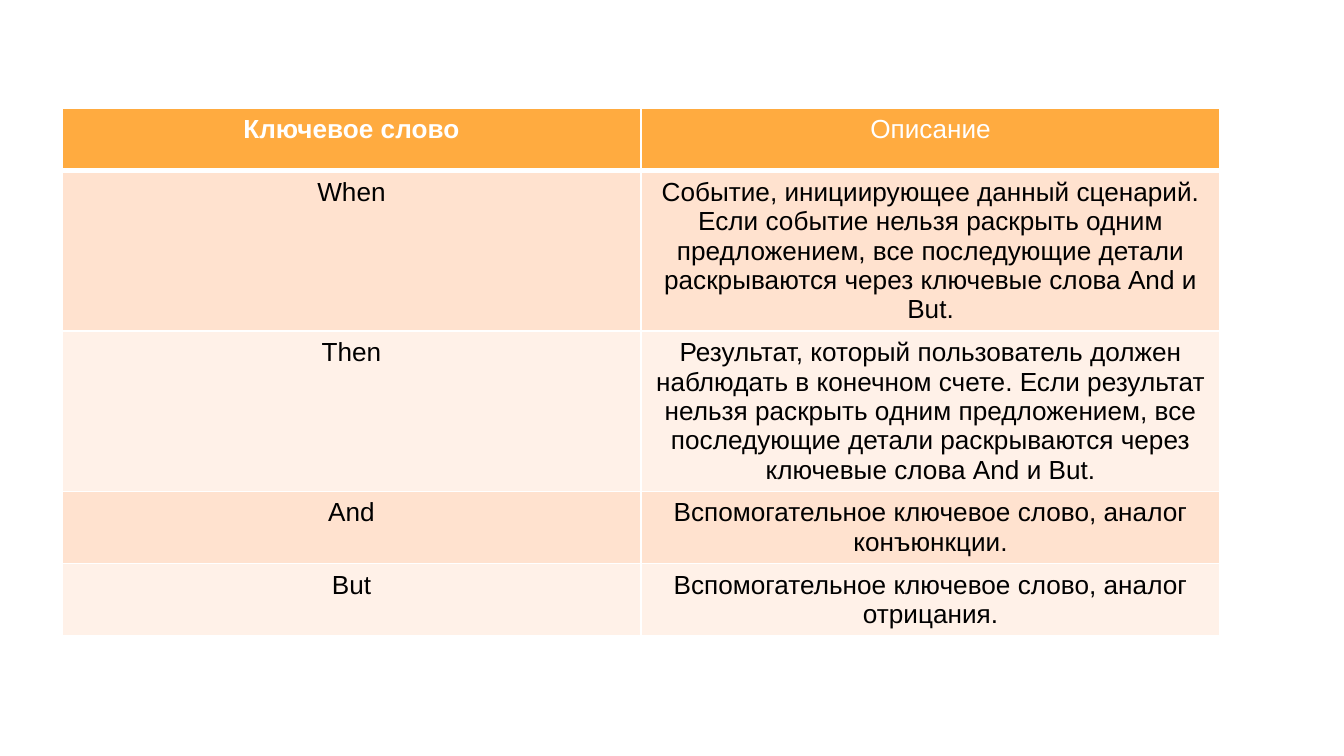
from dataclasses import dataclass

from lxml import etree
from pptx import Presentation
from pptx.dml.color import RGBColor
from pptx.enum.text import PP_ALIGN
from pptx.oxml.ns import qn
from pptx.util import Cm, Pt

CENTER = PP_ALIGN.CENTER


@dataclass(frozen=True)
class Theme:
    font: str = "Arial"
    text_size: int = 14
    header_fill: str = "FFAB40"
    header_text: str = "FFFFFF"
    band_fills: tuple = ("FFE2CF", "FFF1E8")
    body_text: str = "000000"
    border: str = "FFFFFF"
    thin_border: int = 1
    header_border: int = 3


THEME = Theme()

KEYWORDS = [
    ("Ключевое слово", "Описание"),
    ("When", "Событие, инициирующее данный сценарий. Если событие нельзя раскрыть "
             "одним предложением, все последующие детали раскрываются через "
             "ключевые слова And и But."),
    ("Then", "Результат, который пользователь должен наблюдать в конечном счете. "
             "Если результат нельзя раскрыть одним предложением, все последующие "
             "детали раскрываются через ключевые слова And и But."),
    ("And", "Вспомогательное ключевое слово, аналог конъюнкции."),
    ("But", "Вспомогательное ключевое слово, аналог отрицания."),
]


def set_borders(cell, bottom_width):
    properties = cell._tc.get_or_add_tcPr()
    thin = THEME.thin_border
    sides = (("L", thin), ("R", thin), ("T", thin), ("B", bottom_width))
    for position, (side, width) in enumerate(sides):
        border = etree.Element(qn(f"a:ln{side}"), w=str(Pt(width)))
        fill = etree.SubElement(border, qn("a:solidFill"))
        etree.SubElement(fill, qn("a:srgbClr"), val=THEME.border)
        properties.insert(position, border)


def write_cell(cell, text, fill, color, bold, bottom_width):
    cell.fill.solid()
    cell.fill.fore_color.rgb = RGBColor.from_string(fill)
    set_borders(cell, bottom_width)
    cell.text_frame.text = text
    paragraph = cell.text_frame.paragraphs[0]
    paragraph.alignment = CENTER
    font = paragraph.runs[0].font
    font.name = THEME.font
    font.size = Pt(THEME.text_size)
    font.bold = bold
    font.color.rgb = RGBColor.from_string(color)


def add_keyword_table(slide, left, top, width, row_height):
    table = slide.shapes.add_table(
        len(KEYWORDS), len(KEYWORDS[0]), left, top, width, row_height * len(KEYWORDS)
    ).table
    for row, entries in enumerate(KEYWORDS):
        is_header = row == 0
        fill = THEME.header_fill if is_header else THEME.band_fills[(row - 1) % 2]
        color = THEME.header_text if is_header else THEME.body_text
        bottom_width = THEME.header_border if is_header else THEME.thin_border
        for column, text in enumerate(entries):
            bold = is_header and column == 0
            write_cell(table.cell(row, column), text, fill, color, bold, bottom_width)


def main():
    presentation = Presentation()
    presentation.slide_width = Cm(25.4)
    presentation.slide_height = Cm(14.29)
    slide = presentation.slides.add_slide(presentation.slide_layouts[6])
    add_keyword_table(slide, Cm(1.17), Cm(2.04), Cm(21.89), Cm(1.19))
    presentation.save("out.pptx")


if __name__ == "__main__":
    main()
